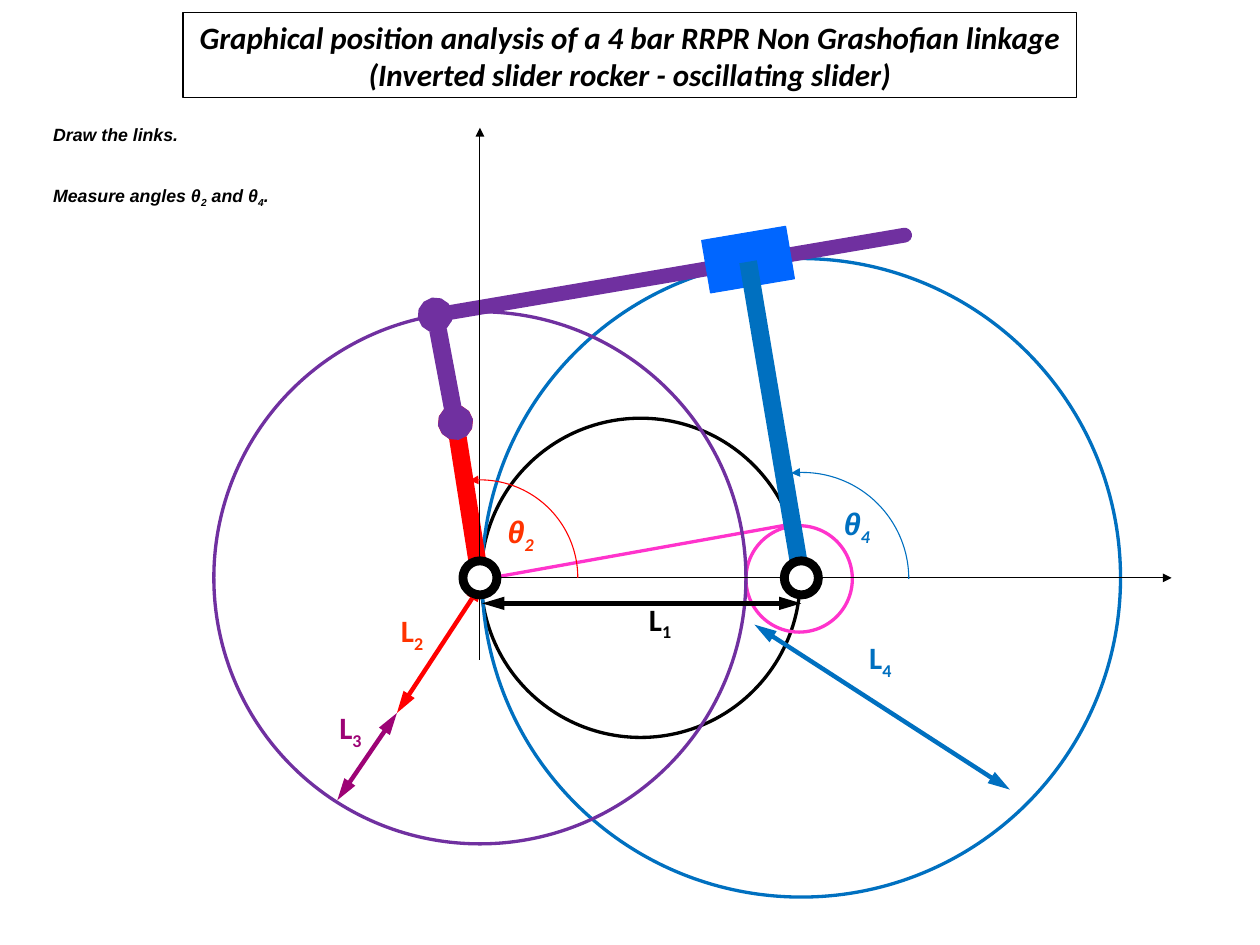
from pptx import Presentation
from pptx.dml.color import RGBColor
from pptx.enum.shapes import MSO_CONNECTOR as CONN, MSO_SHAPE as SHAPE
from pptx.enum.text import MSO_ANCHOR as ANCHOR, PP_ALIGN as ALIGN
from pptx.oxml.ns import qn
from pptx.util import Inches, Pt
from lxml.etree import SubElement

# Grid of one-inch cells; all positions are (column, row)
COLS, ROWS = 11.84, 8.88
BLACK, WHITE, RED, ORANGE = "000000", "FFFFFF", "FF0000", "FF3300"
BLUE, PURPLE, PLUM, PINK = "0070C0", "7030A0", "9D0375", "FF33CC"
SLIDER_BLUE = "0066FF"

# Joints of the linkage
CRANK_PIVOT, ROCKER_PIVOT = (4.51, 5.43), (7.53, 5.43)
CRANK_END, ROD_ELBOW, SLIDER = (4.28, 3.97), (4.09, 2.96), (7.03, 2.44)

# Arrowheads: (type, width, length)
ARROW = ("triangle", "med", "med")
LONG_ARROW = ("triangle", "med", "lg")
JOINT = ("oval", "sm", "sm")

LABEL = {"name": "Calibri", "size": Pt(21), "bold": True}
TITLE = {**LABEL, "italic": True}
ANGLE = {**TITLE, "name": "Arial"}
NOTE = {**ANGLE, "size": Pt(12)}


def rgb(color):
    return RGBColor.from_string(color)


def cells(*values):
    return [Inches(v) for v in values]


def set_line(s, color, width, head=None, tail=None):
    s.line.color.rgb = rgb(color)
    s.line.width = Pt(width)
    for tag, end in (("a:headEnd", head), ("a:tailEnd", tail)):
        if end:
            SubElement(s.line._ln, qn(tag), dict(zip(("type", "w", "len"), end)))


def line(sp, start, end, color, width, head=None, tail=None, cap=None):
    s = sp.add_connector(CONN.STRAIGHT, *cells(*start, *end))
    set_line(s, color, width, head, tail)
    if cap:
        s.line._ln.set("cap", cap)
    SubElement(s._element.spPr, qn("a:effectLst"))


def shape(sp, kind, center, size, color, width, fill=None, head=None):
    (x, y), (w, h) = center, size
    s = sp.add_shape(kind, *cells(x - w / 2, y - h / 2, w, h))
    s.shadow.inherit = False
    if fill:
        s.fill.solid()
        s.fill.fore_color.rgb = rgb(fill)
    else:
        s.fill.background()
    set_line(s, color, width, head)
    return s


def circle(sp, center, radius, color, width=2.25, fill=None):
    shape(sp, SHAPE.OVAL, center, (2 * radius, 2 * radius), color, width, fill)


def angle_arc(sp, center, radius, color):
    s = shape(sp, SHAPE.ARC, center, (2 * radius, 2 * radius), color, 0.75, head=ARROW)
    s.adjustments[0] = 264 * 0.6  # degrees as the shape's adjustment
    s.adjustments[1] = 0


def text(sp, place, size, parts, style, color):
    """Write parts in turn as normal text and subscript."""
    s = sp.add_textbox(*cells(*place, *size))
    tf = s.text_frame
    tf.word_wrap = True
    p = tf.paragraphs[0]
    for i, part in enumerate(parts):
        r = p.add_run()
        r.text = part
        for name, value in style.items():
            setattr(r.font, name, value)
        r.font.color.rgb = rgb(color)
        if i % 2:
            r.font._element.set("baseline", "-25000")
            if style is ANGLE:
                r.font.name = "Calibri"
    return s


def note(sp, row, width, *parts):
    tf = text(sp, (0.5, row), (width, 0.3), parts, NOTE, BLACK).text_frame
    tf.vertical_anchor = ANCHOR.MIDDLE
    for side in ("left", "top", "right", "bottom"):
        setattr(tf, f"margin_{side}", 0)


def title(sp, words):
    s = text(sp, (1.72, 0.12), (8.4, 0.8), [words], TITLE, BLACK)
    s.text_frame.paragraphs[0].alignment = ALIGN.CENTER
    set_line(s, BLACK, 0.75)


def construction(sp):
    circle(sp, (6.02, 5.43), 1.5, BLACK)
    line(sp, (4.56, 5.44), (7.41, 4.93), PINK, 2.25)
    circle(sp, (7.51, 5.44), 0.5, PINK)
    line(sp, (7.56, 5.44), SLIDER, PINK, 2.25)
    circle(sp, ROCKER_PIVOT, 3, BLUE)
    circle(sp, CRANK_PIVOT, 2.5, PURPLE)
    line(sp, ROD_ELBOW, SLIDER, PINK, 2.25)


def dimensions(sp):
    for start, end, color in (
        ((4.53, 5.67), (7.53, 5.67), BLACK),
        ((3.73, 6.7), (4.55, 5.45), RED),
        ((3.73, 6.7), (3.17, 7.52), PLUM),
        ((7.09, 5.87), (9.49, 7.42), BLUE),
    ):
        line(sp, start, end, color, 3, LONG_ARROW, LONG_ARROW)


def links(sp):
    line(sp, CRANK_PIVOT, CRANK_END, RED, 12, JOINT, JOINT)
    line(sp, ROD_ELBOW, (8.5, 2.21), PURPLE, 10, cap="rnd")
    line(sp, CRANK_END, ROD_ELBOW, PURPLE, 12, JOINT, JOINT)
    block = shape(sp, SHAPE.RECTANGLE, SLIDER, (0.8, 0.5), SLIDER_BLUE, 0.75, SLIDER_BLUE)
    block.rotation = 350.4
    line(sp, (7.03, 2.46), ROCKER_PIVOT, BLUE, 12, tail=JOINT)


def axes_and_pivots(sp):
    x, y = CRANK_PIVOT
    line(sp, (x, 6.2), (x, 1.2), BLACK, 0.75, tail=ARROW)
    line(sp, (x, y), (11.01, y), BLACK, 0.75, tail=ARROW)
    for pivot in (CRANK_PIVOT, ROCKER_PIVOT):
        circle(sp, pivot, 0.16, BLACK, 6, WHITE)
    angle_arc(sp, CRANK_PIVOT, 0.92, RED)
    angle_arc(sp, (7.54, 5.44), 1, BLUE)


def labels(sp):
    for letter, number, place, style, color in (
        ("L", "1", (6, 5.59), LABEL, BLACK),
        ("L", "2", (3.67, 5.7), LABEL, ORANGE),
        ("L", "3", (3.09, 6.61), LABEL, PLUM),
        ("L", "4", (8.07, 5.95), LABEL, BLUE),
        ("θ", "2", (4.67, 4.77), ANGLE, ORANGE),
        ("θ", "4", (7.83, 4.69), ANGLE, BLUE),
    ):
        text(sp, place, (0.5, 0.5), (letter, number), style, color)


def main():
    prs = Presentation()
    prs.slide_width, prs.slide_height = cells(COLS, ROWS)
    sp = prs.slides.add_slide(prs.slide_layouts[6]).shapes

    # Instructions
    note(sp, 1.11, 1.2, "Draw the links.")
    note(sp, 1.7, 2.1, "Measure angles θ", "2", " and θ", "4", ".")

    # Linkage drawing, from back to front
    construction(sp)
    dimensions(sp)
    links(sp)
    axes_and_pivots(sp)
    labels(sp)

    title(sp, "Graphical position analysis of a 4 bar RRPR Non Grashofian linkage "
              "(Inverted slider rocker - oscillating slider)")
    prs.save("out.pptx")


if __name__ == "__main__":
    main()
